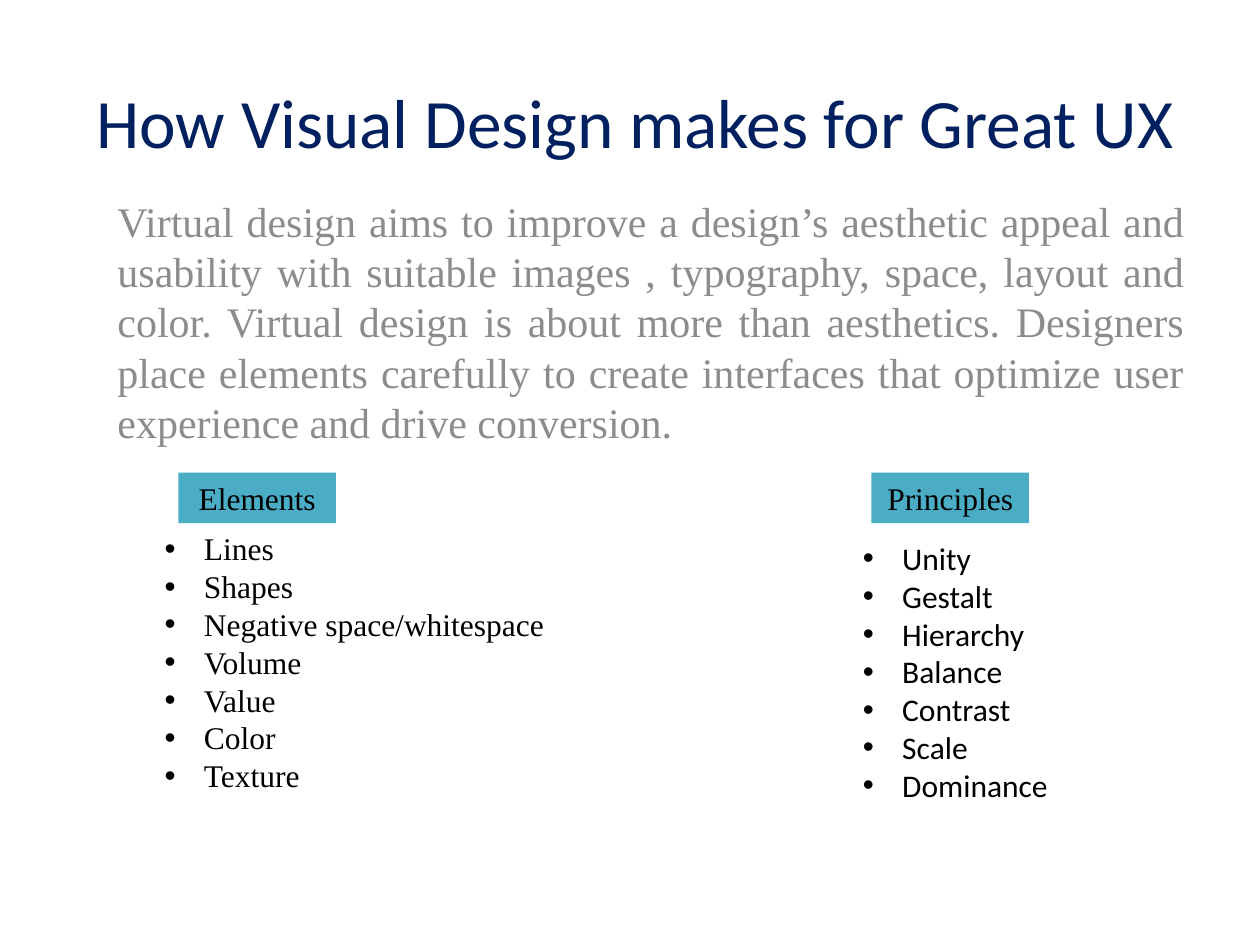
from lxml.etree import SubElement
from pptx import Presentation
from pptx.dml.color import RGBColor
from pptx.enum.shapes import MSO_SHAPE
from pptx.enum.text import MSO_ANCHOR, PP_ALIGN
from pptx.oxml.ns import qn
from pptx.util import Pt

NAVY = RGBColor(0x00, 0x20, 0x60)
GRAY = RGBColor(0x8C, 0x8C, 0x8C)
TEAL = RGBColor(0x4B, 0xAC, 0xC6)
BLACK = RGBColor(0, 0, 0)
SANS = "Calibri"
SERIF = "Times New Roman"
LINE_PITCH = 1.2
BULLET_INDENT = 22.5

TITLE = "How Visual Design makes for Great UX"
INTRO = (
    "Virtual design aims to improve a design’s aesthetic appeal and usability "
    "with suitable images , typography, space, layout and color. Virtual design "
    "is about more than aesthetics. Designers place elements carefully to create "
    "interfaces that optimize user experience and drive conversion."
)
ELEMENTS = ["Lines", "Shapes", "Negative space/whitespace", "Volume",
            "Value", "Color", "Texture"]
PRINCIPLES = ["Unity", "Gestalt", "Hierarchy", "Balance",
              "Contrast", "Scale", "Dominance"]


def write(p, text, size, font, color, align=PP_ALIGN.LEFT):
    p.alignment = align
    p.line_spacing = Pt(LINE_PITCH * size)
    r = p.add_run()
    r.text = text
    r.font.size = Pt(size)
    r.font.name = font
    r.font.color.rgb = color


def add_bullet(p):
    pPr = p._p.get_or_add_pPr()
    pPr.set("marL", str(Pt(BULLET_INDENT)))
    pPr.set("indent", str(-Pt(BULLET_INDENT)))
    SubElement(pPr, qn("a:buFont"), typeface="Arial")
    SubElement(pPr, qn("a:buChar"), char="•")


def text_frame(slide, box, anchor=MSO_ANCHOR.TOP):
    tf = slide.shapes.add_textbox(*map(Pt, box)).text_frame
    tf.word_wrap = True
    tf.vertical_anchor = anchor
    return tf


def add_title(slide, box):
    tf = text_frame(slide, box, MSO_ANCHOR.MIDDLE)
    write(tf.paragraphs[0], TITLE, 39.6, SANS, NAVY, PP_ALIGN.CENTER)


def add_intro(slide, box):
    tf = text_frame(slide, box)
    write(tf.paragraphs[0], INTRO, 24, SERIF, GRAY, PP_ALIGN.JUSTIFY)


def add_heading(slide, box, text):
    sp = slide.shapes.add_shape(MSO_SHAPE.RECTANGLE, *map(Pt, box))
    sp.shadow.inherit = False
    sp.fill.solid()
    sp.fill.fore_color.rgb = TEAL
    sp.line.fill.background()
    tf = sp.text_frame
    tf.word_wrap = True
    tf.vertical_anchor = MSO_ANCHOR.MIDDLE
    write(tf.paragraphs[0], text, 18, SERIF, BLACK, PP_ALIGN.CENTER)


def add_list(slide, box, items, font):
    tf = text_frame(slide, box)
    for i, item in enumerate(items):
        p = tf.add_paragraph() if i else tf.paragraphs[0]
        write(p, item, 18, font, BLACK)
        add_bullet(p)


def main():
    prs = Presentation()
    prs.slide_width, prs.slide_height = Pt(720), Pt(540)
    slide = prs.slides.add_slide(prs.slide_layouts[6])
    add_title(slide, (42, 42, 642, 54))
    add_intro(slide, (60, 108, 624, 150))
    add_heading(slide, (102, 270, 90, 29), "Elements")
    add_list(slide, (87, 299, 258, 181.5), ELEMENTS, SERIF)
    add_heading(slide, (498, 270, 90, 29), "Principles")
    add_list(slide, (486, 304.5, 138, 181.5), PRINCIPLES, SANS)
    prs.save("out.pptx")


if __name__ == "__main__":
    main()
